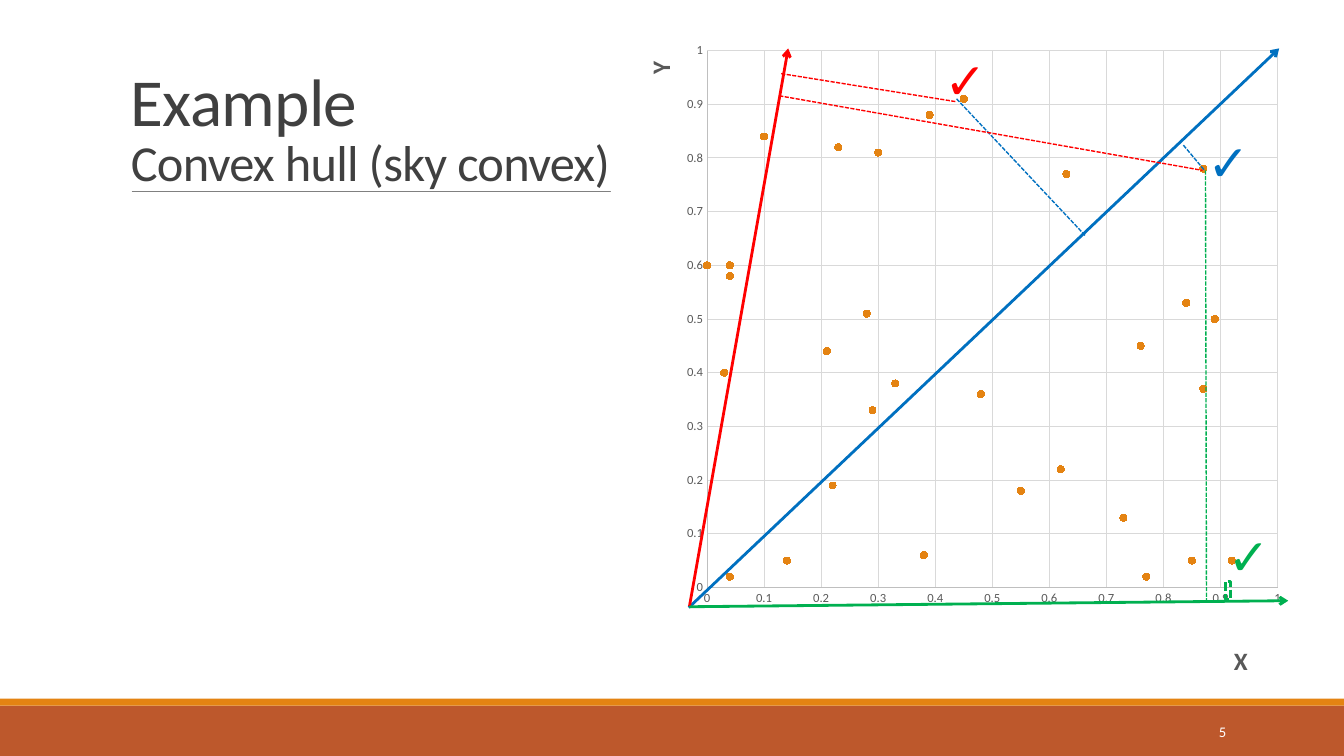
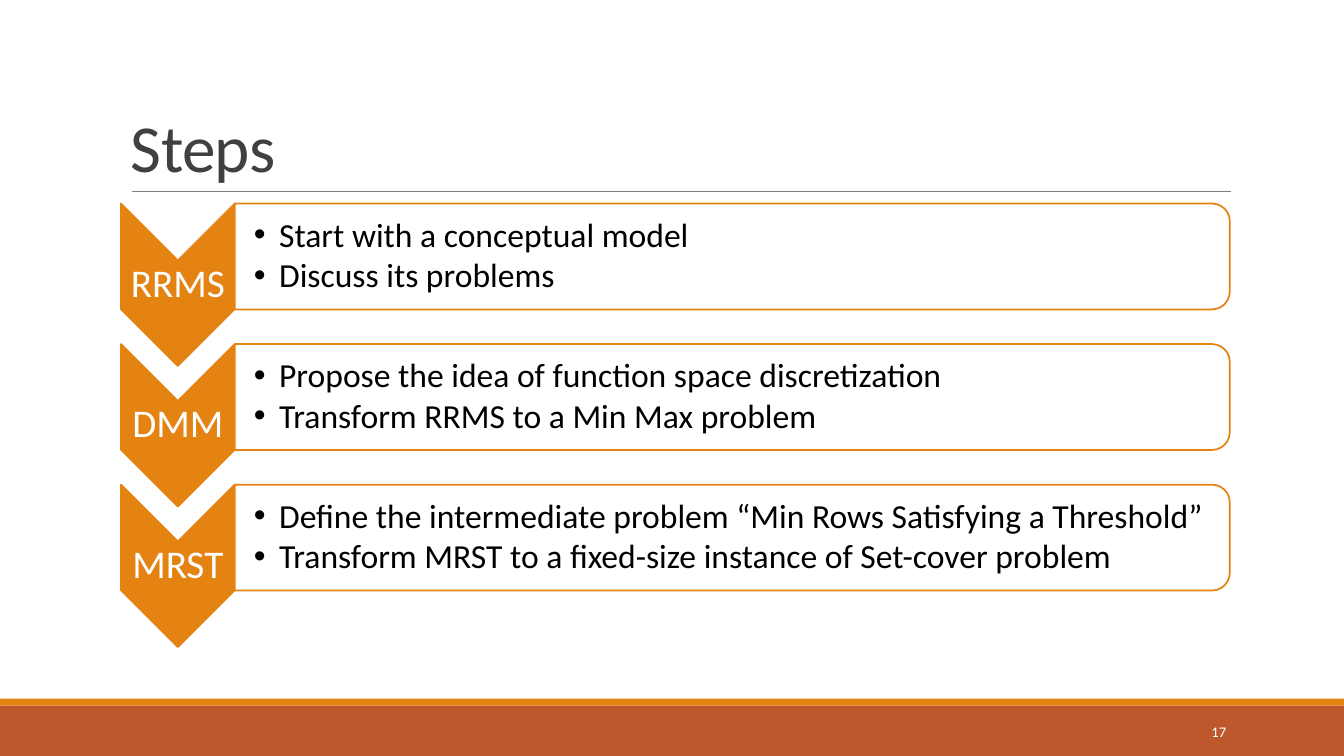
import dataclasses

import lxml.etree
import pptx
import pptx.chart.data
import pptx.dml.color
import pptx.enum.chart
import pptx.enum.dml
import pptx.enum.shapes
import pptx.enum.text
import pptx.oxml.ns
import pptx.util

Pt = pptx.util.Pt
qn = pptx.oxml.ns.qn
Shape = pptx.enum.shapes.MSO_SHAPE
Align = pptx.enum.text.PP_ALIGN
Anchor = pptx.enum.text.MSO_ANCHOR


@dataclasses.dataclass(frozen=True)
class Theme:
    font: str = "Calibri"
    orange: str = "E48312"
    rust: str = "BD582C"
    rule: str = "808080"
    title: str = "404040"
    black: str = "000000"
    white: str = "FFFFFF"
    label: str = "595959"
    axis: str = "BFBFBF"
    grid: str = "D9D9D9"
    blue: str = "0070C0"
    red: str = "FF0000"
    green: str = "00B050"
    title_size: float = 48
    subtitle_size: float = 36
    check_size: float = 36
    step_size: float = 28
    body_size: float = 24
    axis_title_size: float = 18
    tick_size: float = 9
    number_size: float = 10.5


THEME = Theme()


def rgb(color):
    return pptx.dml.color.RGBColor.from_string(color)


def add_xml(parent, tag, **attributes):
    return lxml.etree.SubElement(parent, qn(tag), **attributes)


def style_line(line, color, width, dashed=False):
    line.color.rgb = rgb(color)
    line.width = Pt(width)
    if dashed:
        line.dash_style = pptx.enum.dml.MSO_LINE.SQUARE_DOT


def style_font(font, size, color):
    font.name = THEME.font
    font.size = Pt(size)
    font.color.rgb = rgb(color)


def write(paragraph, text, *, size, color, align=Align.LEFT, line_spacing=None,
          space_after=None, tracking=None, bullet_indent=None):
    """Add a run; a line break in the text starts a new line."""
    paragraph.alignment = align
    if line_spacing:
        paragraph.line_spacing = line_spacing
    if space_after is not None:
        paragraph.space_after = Pt(space_after)
    if bullet_indent:
        properties = paragraph._p.get_or_add_pPr()
        properties.set("marL", str(Pt(bullet_indent)))
        properties.set("indent", str(-Pt(bullet_indent)))
        add_xml(properties, "a:buFont", typeface="Arial")
        add_xml(properties, "a:buChar", char="•")
    for index, line in enumerate(text.split("\n")):
        if index:
            paragraph.add_line_break()
        if line:
            run = paragraph.add_run()
            run.text = line
            style_font(run.font, size, color)
            if tracking:
                run._r.get_or_add_rPr().set("spc", str(int(tracking * 100)))


def place(element, left, top, width=None, height=None):
    """Fix the position of a chart part, as fractions of the chart."""
    layout = element.find(qn("c:layout"))
    if layout is None:
        layout = lxml.etree.Element(qn("c:layout"))
        element.insert(0, layout)
    manual = add_xml(layout, "c:manualLayout")
    if width:
        add_xml(manual, "c:layoutTarget", val="inner")
    add_xml(manual, "c:xMode", val="edge")
    add_xml(manual, "c:yMode", val="edge")
    for name, value in zip("xywh", (left, top, width, height)):
        if value is not None:
            add_xml(manual, f"c:{name}", val=str(value))


class Deck:
    """Holds the style and the slide being filled."""

    def __init__(self, theme):
        self.theme = theme
        self.presentation = pptx.Presentation()
        self.presentation.slide_width = Pt(960)
        self.presentation.slide_height = Pt(540)
        self.slide = None

    def new_slide(self):
        layout = self.presentation.slide_layouts[6]
        self.slide = self.presentation.slides.add_slide(layout)
        self.shape(Shape.RECTANGLE, 0, 504, 960, 36, fill=self.theme.rust)
        self.shape(Shape.RECTANGLE, 0, 499, 960, 5, fill=self.theme.orange)
        self.line((94, 137), (879, 137), self.theme.rule, 0.5)

    def title(self, text, subtitle=None, height=114.5):
        frame = self.frame(86.4, 22.3, 792, height, anchor=Anchor.BOTTOM)
        style = dict(color=self.theme.title, line_spacing=0.85, tracking=-0.5)
        paragraph = frame.paragraphs[0]
        write(paragraph, text + ("\n" if subtitle else ""), size=self.theme.title_size, **style)
        if subtitle:
            write(paragraph, subtitle, size=self.theme.subtitle_size, **style)

    def number(self, number):
        frame = self.frame(780, 508.3, 103, 28.8, anchor=Anchor.MIDDLE)
        write(frame.paragraphs[0], str(number), size=self.theme.number_size,
              color=self.theme.white, align=Align.RIGHT)

    def frame(self, left, top, width, height, *, anchor=Anchor.TOP, wrap=True, insets=None):
        box = self.slide.shapes.add_textbox(Pt(left), Pt(top), Pt(width), Pt(height))
        frame = box.text_frame
        frame.word_wrap = wrap
        frame.vertical_anchor = anchor
        if insets:
            (frame.margin_left, frame.margin_top,
             frame.margin_right, frame.margin_bottom) = map(Pt, insets)
        return frame

    def shape(self, kind, left, top, width, height, *, fill=None, line=None,
              line_width=1.25, dashed=False, turned=False):
        """Draw a preset; a turned one fills the given box after a quarter turn."""
        if turned:
            left, top = left + (width - height) / 2, top + (height - width) / 2
            width, height = height, width
        shape = self.slide.shapes.add_shape(kind, Pt(left), Pt(top), Pt(width), Pt(height))
        shape.rotation = 90 if turned else 0
        shape.shadow.inherit = False
        if fill:
            shape.fill.solid()
            shape.fill.fore_color.rgb = rgb(fill)
        else:
            shape.fill.background()
        if line:
            style_line(shape.line, line, line_width, dashed)
        else:
            shape.line.fill.background()

    def line(self, start, end, color, width, dashed=False, arrow=False):
        connector = self.slide.shapes.add_connector(
            pptx.enum.shapes.MSO_CONNECTOR.STRAIGHT, *map(Pt, (*start, *end)))
        style_line(connector.line, color, width, dashed)
        if arrow:
            add_xml(connector.line._get_or_add_ln(), "a:tailEnd", type="arrow")
        add_xml(connector._element.spPr, "a:effectLst")

    def direction(self, start, end, color):
        self.line(start, end, color, 2, arrow=True)

    def projection(self, start, end, color):
        self.line(start, end, color, 1, dashed=True)

    def check(self, left, top, color):
        frame = self.frame(left, top, 43, 51, wrap=False)
        write(frame.paragraphs[0], "✓", size=self.theme.check_size, color=color)

    def scatter(self, points, left, top, width, height):
        data = pptx.chart.data.XyChartData()
        series = data.add_series("Series 1")
        for x, y in points:
            series.add_data_point(x, y)
        chart = self.slide.shapes.add_chart(
            pptx.enum.chart.XL_CHART_TYPE.XY_SCATTER,
            Pt(left), Pt(top), Pt(width), Pt(height), data).chart
        chart.has_legend = chart.has_title = False
        style_font(chart.font, 10, self.theme.black)

        # White chart background
        background = lxml.etree.Element(qn("c:spPr"))
        fill = add_xml(background, "a:solidFill")
        add_xml(fill, "a:srgbClr", val=self.theme.white)
        add_xml(add_xml(background, "a:ln"), "a:noFill")
        chart._chartSpace.find(qn("c:chart")).addnext(background)

        # Markers
        plot = chart.plots[0]
        plot.vary_by_categories = False
        series = plot.series[0]
        series.format.line.fill.background()
        series.marker.style = pptx.enum.chart.XL_MARKER_STYLE.CIRCLE
        series.marker.size = 5
        series.marker.format.fill.solid()
        series.marker.format.fill.fore_color.rgb = rgb(self.theme.orange)
        series.marker.format.line.color.rgb = rgb(self.theme.orange)

        # Axes
        place(chart._chartSpace.find(".//" + qn("c:plotArea")), 0.14, 0.03, 0.83, 0.83)
        for axis, name, spot in ((chart.category_axis, "X", (0.9, 0.94)),
                                 (chart.value_axis, "Y", (0.04, 0.04))):
            axis.minimum_scale, axis.maximum_scale, axis.major_unit = 0, 1, 0.1
            axis.major_tick_mark = axis.minor_tick_mark = pptx.enum.chart.XL_TICK_MARK.NONE
            axis.has_major_gridlines = True
            style_line(axis.major_gridlines.format.line, self.theme.grid, 0.75)
            style_line(axis.format.line, self.theme.axis, 0.75)
            style_font(axis.tick_labels.font, self.theme.tick_size, self.theme.label)
            axis.tick_labels.number_format = "General"
            axis.tick_labels.number_format_is_linked = False
            frame = axis.axis_title.text_frame
            write(frame.paragraphs[0], name, size=self.theme.axis_title_size,
                  color=self.theme.label, align=Align.CENTER)
            if name == "Y":
                frame._txBody.bodyPr.set("rot", "-5400000")
            place(axis.axis_title._element, *spot)

    def step(self, top, name, bullets):
        left, middle, right = 86.4, 167.7, 878.4
        body_height = 75.6
        self.shape(Shape.CHEVRON, left, top, middle - left, 116,
                   fill=self.theme.orange, line=self.theme.orange, turned=True)
        frame = self.frame(left, top + 40.3, middle - left, 34.8,
                           anchor=Anchor.MIDDLE, insets=(1.4,) * 4)
        write(frame.paragraphs[0], name, size=self.theme.step_size,
              color=self.theme.white, align=Align.CENTER, line_spacing=0.9)
        self.shape(Shape.ROUND_2_SAME_RECTANGLE, middle, top, right - middle, body_height,
                   fill=self.theme.white, line=self.theme.orange, turned=True)
        frame = self.frame(middle, top + 3.7, right - middle - 3.7, body_height - 7.4,
                           anchor=Anchor.MIDDLE, insets=(13.7, 1.4, 1.4, 1.4))
        for index, bullet in enumerate(bullets):
            paragraph = frame.add_paragraph() if index else frame.paragraphs[0]
            write(paragraph, bullet, size=self.theme.body_size, color=self.theme.black,
                  line_spacing=0.9, space_after=3, bullet_indent=18)


POINTS = [
    (0.23, 0.82), (0.04, 0.02), (0.33, 0.38), (0.85, 0.05), (0.55, 0.18), (0.39, 0.88),
    (0.84, 0.53), (0.92, 0.05), (0.22, 0.19), (0.62, 0.22), (0.87, 0.78), (0.21, 0.44),
    (0.87, 0.37), (0.89, 0.5), (0.14, 0.05), (0.77, 0.02), (0.29, 0.33), (0.76, 0.45),
    (0.45, 0.91), (0.04, 0.6), (0.04, 0.58), (0, 0.6), (0.1, 0.84), (0.63, 0.77),
    (0.03, 0.4), (0.38, 0.06), (0.28, 0.51), (0.3, 0.81), (0.48, 0.36), (0.73, 0.13),
]

STEPS = [
    ("RRMS", ["Start with a conceptual model", "Discuss its problems"]),
    ("DMM", ["Propose the idea of function space discretization",
             "Transform RRMS to a Min Max problem"]),
    ("MRST", ["Define the intermediate problem “Min Rows Satisfying a Threshold”",
              "Transform MRST to a fixed-size instance of Set-cover problem"]),
]


def convex_hull_slide(deck):
    blue, red, green = deck.theme.blue, deck.theme.red, deck.theme.green
    deck.new_slide()
    deck.scatter(POINTS, 436.3, 22.3, 491, 466.6)
    deck.title("Example", "Convex hull (sky convex)", height=118)

    # Diagonal direction
    deck.direction((492, 434), (913.7, 34.6), blue)
    deck.projection((845.3, 103.7), (860.4, 121.7), blue)
    deck.check(855.4, 90, blue)
    deck.projection((683.3, 70.6), (775.4, 168.5), blue)

    # Steep direction
    deck.direction((492.5, 433), (563, 34.6), red)
    deck.projection((556.6, 68.4), (859, 121.7), red)
    deck.projection((558, 52.6), (683.3, 72.7), red)
    deck.check(667.4, 31.7, red)

    # Flat direction
    deck.direction((492.5, 433.4), (920.2, 429.1), green)
    deck.shape(Shape.RECTANGLE, 875.5, 415.4, 3.6, 13, line=green, line_width=2, dashed=True)
    deck.projection((861.1, 121.7), (861.8, 430.6), green)
    deck.check(869.8, 371.5, green)
    deck.number(5)


def steps_slide(deck):
    deck.new_slide()
    deck.title("Steps")
    for index, (name, bullets) in enumerate(STEPS):
        deck.step(145.4 + 100.4 * index, name, bullets)
    deck.number(17)


def main():
    deck = Deck(THEME)
    convex_hull_slide(deck)
    steps_slide(deck)
    deck.presentation.save("out.pptx")


if __name__ == "__main__":
    main()
